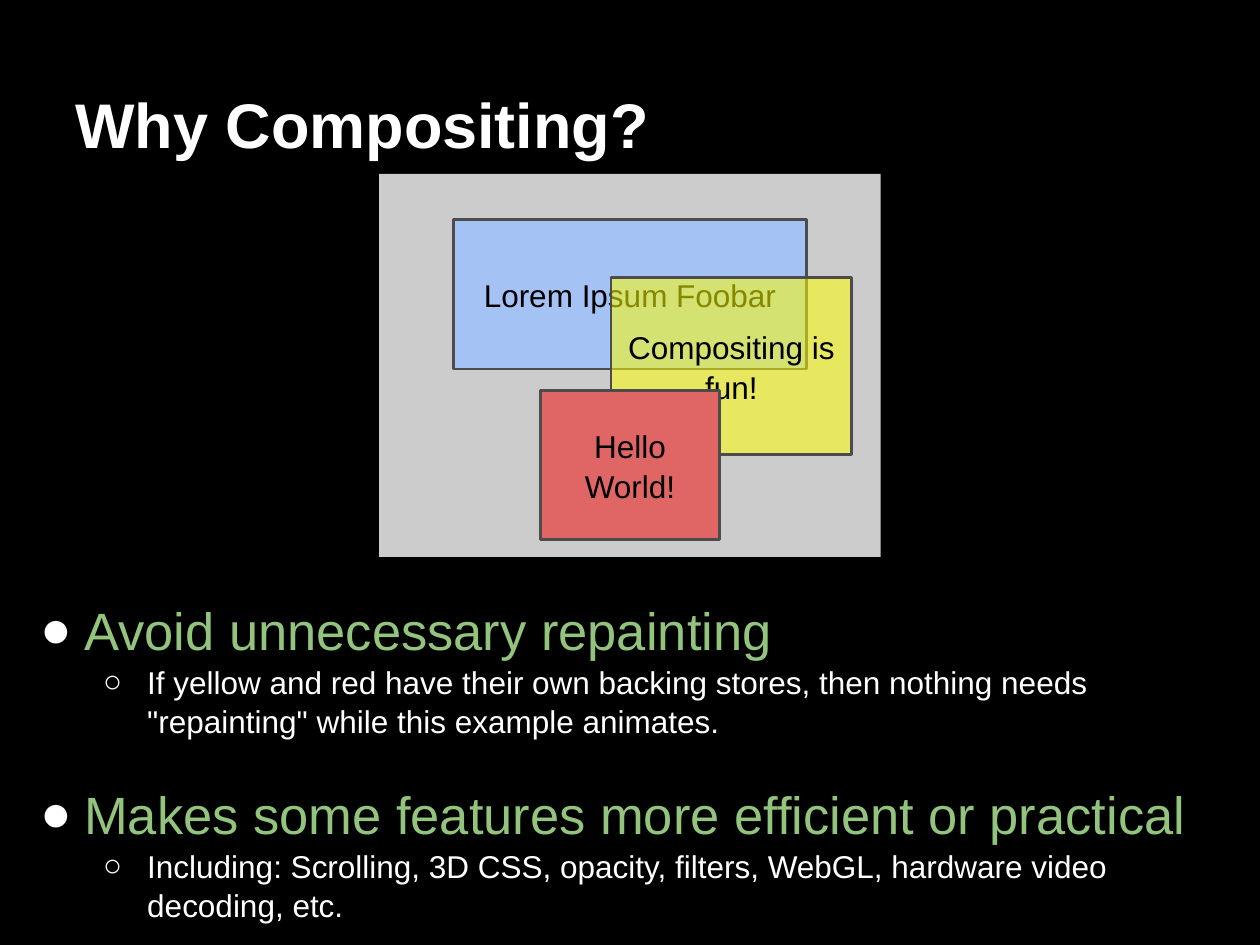
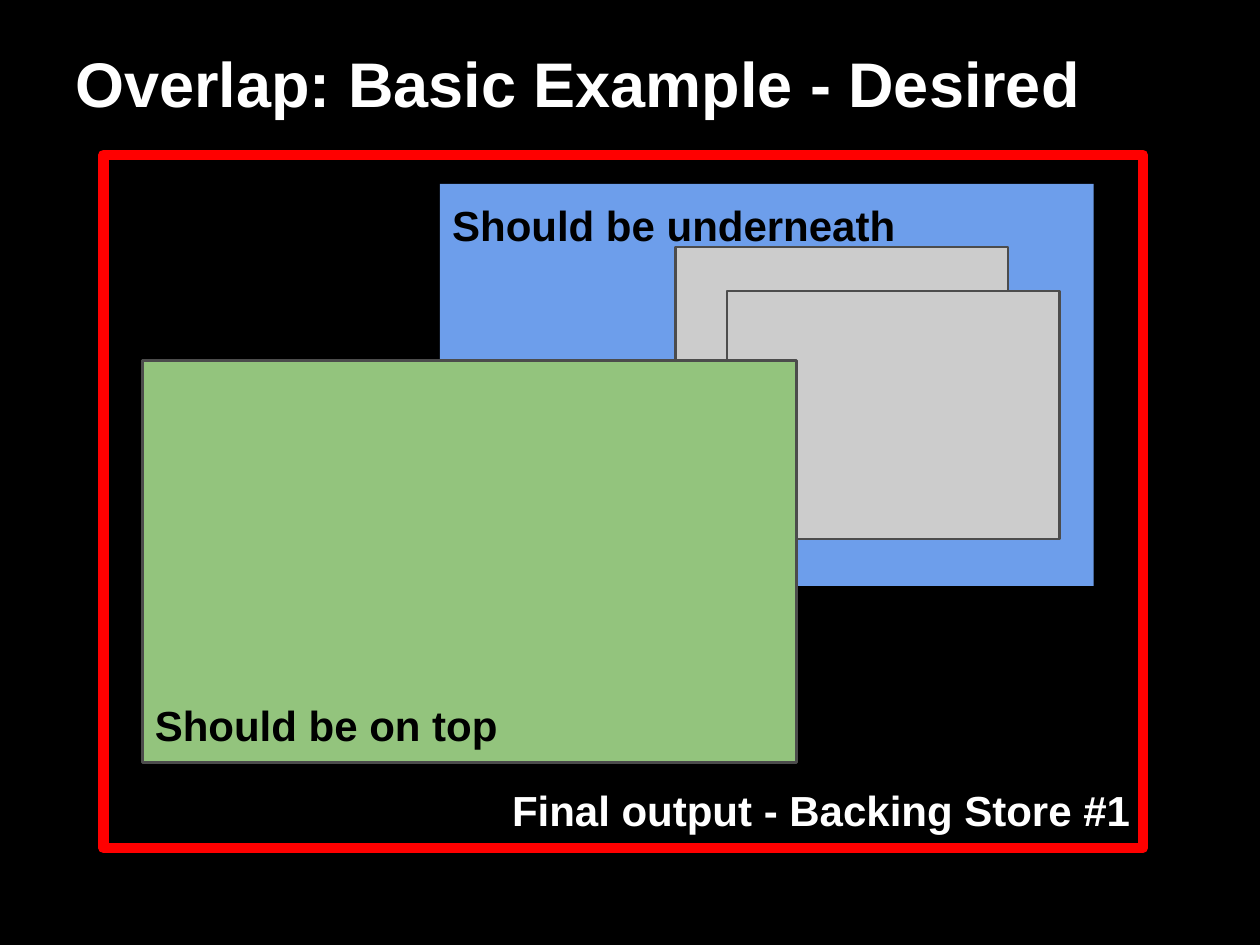
from lxml.etree import SubElement
from pptx import Presentation
from pptx.dml.color import RGBColor
from pptx.enum.shapes import MSO_SHAPE
from pptx.enum.text import MSO_ANCHOR, PP_ALIGN
from pptx.oxml.ns import qn
from pptx.util import Inches, Pt

BLACK = RGBColor(0x00, 0x00, 0x00)
WHITE = RGBColor(0xFF, 0xFF, 0xFF)
GREY = RGBColor(0xCC, 0xCC, 0xCC)
OUTLINE = RGBColor(0x4C, 0x4C, 0x4C)
PALE_BLUE = RGBColor(0xA4, 0xC2, 0xF4)
BLUE = RGBColor(0x6D, 0x9E, 0xEB)
YELLOW = RGBColor(0xFF, 0xFF, 0x00)
CORAL = RGBColor(0xE0, 0x66, 0x66)
GREEN = RGBColor(0x93, 0xC4, 0x7D)
RED = RGBColor(0xFF, 0x00, 0x00)

LINE_SPACING = 1.05
BODY = {"name": "Arial", "size": Pt(18)}
LABEL = {"name": "Arial", "size": Pt(24), "bold": True}
TITLE = {"name": "Arial", "size": Pt(36), "bold": True}
HEADING = {"name": "Arial", "size": Pt(30)}


def set_font(paragraph, style, color):
    """Apply a dict of font values and a colour to a paragraph."""
    for name, value in style.items():
        setattr(paragraph.font, name, value)
    paragraph.font.color.rgb = color


def prepare_frame(shape, anchor):
    """Set the wrapping, anchor and insets of a text frame and return it."""
    frame = shape.text_frame
    values = {"word_wrap": True, "vertical_anchor": anchor}
    for side in ("left", "top", "right", "bottom"):
        values[f"margin_{side}"] = Inches(0.1)
    for name, value in values.items():
        setattr(frame, name, value)
    return frame


def write_lines(shape, lines, style, color, anchor, alignment=PP_ALIGN.LEFT):
    """Write one paragraph for each line into a shape."""
    frame = prepare_frame(shape, anchor)
    for index, line in enumerate(lines):
        paragraph = frame.add_paragraph() if index else frame.paragraphs[0]
        paragraph.text = line
        paragraph.alignment = alignment
        paragraph.line_spacing = LINE_SPACING
        set_font(paragraph, style, color)


def add_panel(shapes, left, top, width, height, fill=None, outline=OUTLINE, weight=1.5):
    """Add a rectangle with an optional fill and a round-joined outline."""
    panel = shapes.add_shape(
        MSO_SHAPE.RECTANGLE, Inches(left), Inches(top), Inches(width), Inches(height)
    )
    panel.shadow.inherit = False
    if fill is None:
        panel.fill.background()
    else:
        panel.fill.solid()
        panel.fill.fore_color.rgb = fill
    if outline is None:
        panel.line.fill.background()
    else:
        panel.line.color.rgb = outline
        panel.line.width = Pt(weight)
        SubElement(panel.line._get_or_add_ln(), qn("a:round"))
    return panel


def set_opacity(shape, percent):
    """Make the solid fill of a shape partly transparent."""
    color = shape._element.spPr.find(qn("a:solidFill")).find(qn("a:srgbClr"))
    SubElement(color, qn("a:alpha"), val=str(percent * 1000))


def add_titled_slide(presentation, title, top, height):
    """Add a black slide with a white title resting on the bottom of its box."""
    slide = presentation.slides.add_slide(presentation.slide_layouts[6])
    slide.background.fill.solid()
    slide.background.fill.fore_color.rgb = BLACK
    box = slide.shapes.add_textbox(Inches(0.5), Inches(top), Inches(9), Inches(height))
    write_lines(box, [title], TITLE, WHITE, MSO_ANCHOR.BOTTOM)
    return slide


def add_layer_stack(slide, left, top, width, height):
    """Draw the page with its three overlapping layers."""
    add_panel(slide.shapes, left, top, width, height, GREY, None)
    layers = [
        (0.59, 0.36, 2.8, 1.19, PALE_BLUE, 100, ["Lorem Ipsum Foobar"]),
        (1.84, 0.82, 1.91, 1.41, YELLOW, 53, ["Compositing is fun!"]),
        (1.28, 1.72, 1.42, 1.18, CORAL, 100, ["Hello", "World!"]),
    ]
    for x, y, layer_width, layer_height, fill, opacity, lines in layers:
        layer = add_panel(slide.shapes, left + x, top + y, layer_width, layer_height, fill)
        if opacity < 100:
            set_opacity(layer, opacity)
        write_lines(layer, lines, BODY, BLACK, MSO_ANCHOR.MIDDLE, PP_ALIGN.CENTER)


def set_bullet(paragraph, symbol, level):
    """Give a paragraph a white bullet and a hanging indent for its level."""
    paragraph.level = level
    properties = paragraph._p.get_or_add_pPr()
    properties.set("marL", str(Inches(0.5 * (level + 1))))
    properties.set("indent", str(Inches(-0.35)))
    bullet_color = SubElement(properties, qn("a:buClr"))
    SubElement(bullet_color, qn("a:srgbClr"), val=str(WHITE))
    SubElement(properties, qn("a:buFont"), typeface="Arial")
    SubElement(properties, qn("a:buChar"), char=symbol)


def add_reasons(slide, left, top, width, height, reasons):
    """List green reasons, each with a white detail below it."""
    box = slide.shapes.add_textbox(Inches(left), Inches(top), Inches(width), Inches(height))
    frame = prepare_frame(box, MSO_ANCHOR.TOP)
    levels = [("●", HEADING, GREEN), ("○", BODY, WHITE)]
    for index, reason in enumerate(reasons):
        for level, (symbol, style, color) in enumerate(levels):
            first = index == 0 and level == 0
            paragraph = frame.paragraphs[0] if first else frame.add_paragraph()
            paragraph.text = reason[level]
            set_bullet(paragraph, symbol, level)
            paragraph.line_spacing = LINE_SPACING
            paragraph.space_before = Pt(22 if index and level == 0 else 0)
            set_font(paragraph, style, color)


def add_overlap_scene(slide, left, top, width, height):
    """Draw the backing store frame and the windows that overlap inside it."""
    store = add_panel(slide.shapes, left, top, width, height, None, RED, 6)
    write_lines(store, ["Final output - Backing Store #1"], LABEL, WHITE,
                MSO_ANCHOR.BOTTOM, PP_ALIGN.RIGHT)
    window_width, window_height = 5.19, 3.19
    group = slide.shapes.add_group_shape()
    underneath = add_panel(group.shapes, left + 2.67, top + 0.23,
                           window_width, window_height, BLUE, None)
    write_lines(underneath, ["Should be underneath"], LABEL, BLACK, MSO_ANCHOR.TOP)
    for x, y in ((4.54, 0.73), (4.95, 1.08)):
        add_panel(group.shapes, left + x, top + y, 2.64, 1.97, GREY)
    on_top = add_panel(slide.shapes, left + 0.31, top + 1.63,
                       window_width, window_height, GREEN)
    write_lines(on_top, ["Should be on top"], LABEL, BLACK, MSO_ANCHOR.BOTTOM)


def build_compositing_slide(presentation):
    """Build the slide on the reasons for compositing."""
    slide = add_titled_slide(presentation, "Why Compositing?", 0.13, 1.25)
    add_layer_stack(slide, 3.01, 1.38, 3.98, 3.04)
    add_reasons(slide, 0.07, 4.62, 9.85, 2.54, [
        ("Avoid unnecessary repainting",
         "If yellow and red have their own backing stores, then nothing needs "
         '"repainting" while this example animates.'),
        ("Makes some features more efficient or practical",
         "Including: Scrolling, 3D CSS, opacity, filters, WebGL, hardware video "
         "decoding, etc."),
    ])


def build_overlap_slide(presentation):
    """Build the slide on the desired overlap."""
    slide = add_titled_slide(presentation, "Overlap: Basic Example - Desired", 0.06, 0.99)
    add_overlap_scene(slide, 0.82, 1.23, 8.25, 5.5)


def main():
    """Build and save the presentation."""
    presentation = Presentation()
    presentation.slide_width = Inches(10)
    presentation.slide_height = Inches(7.5)
    build_compositing_slide(presentation)
    build_overlap_slide(presentation)
    presentation.save("out.pptx")


if __name__ == "__main__":
    main()
